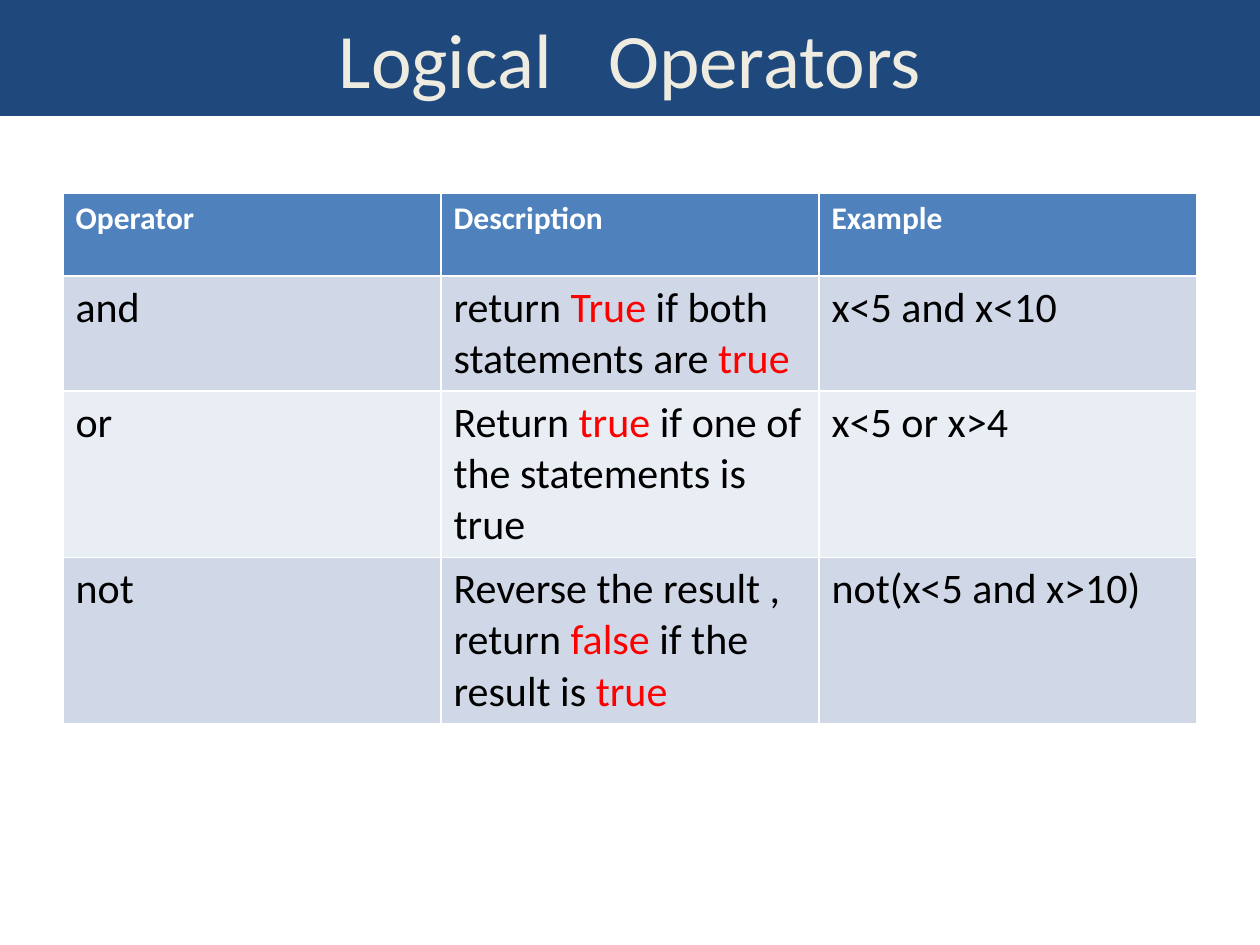
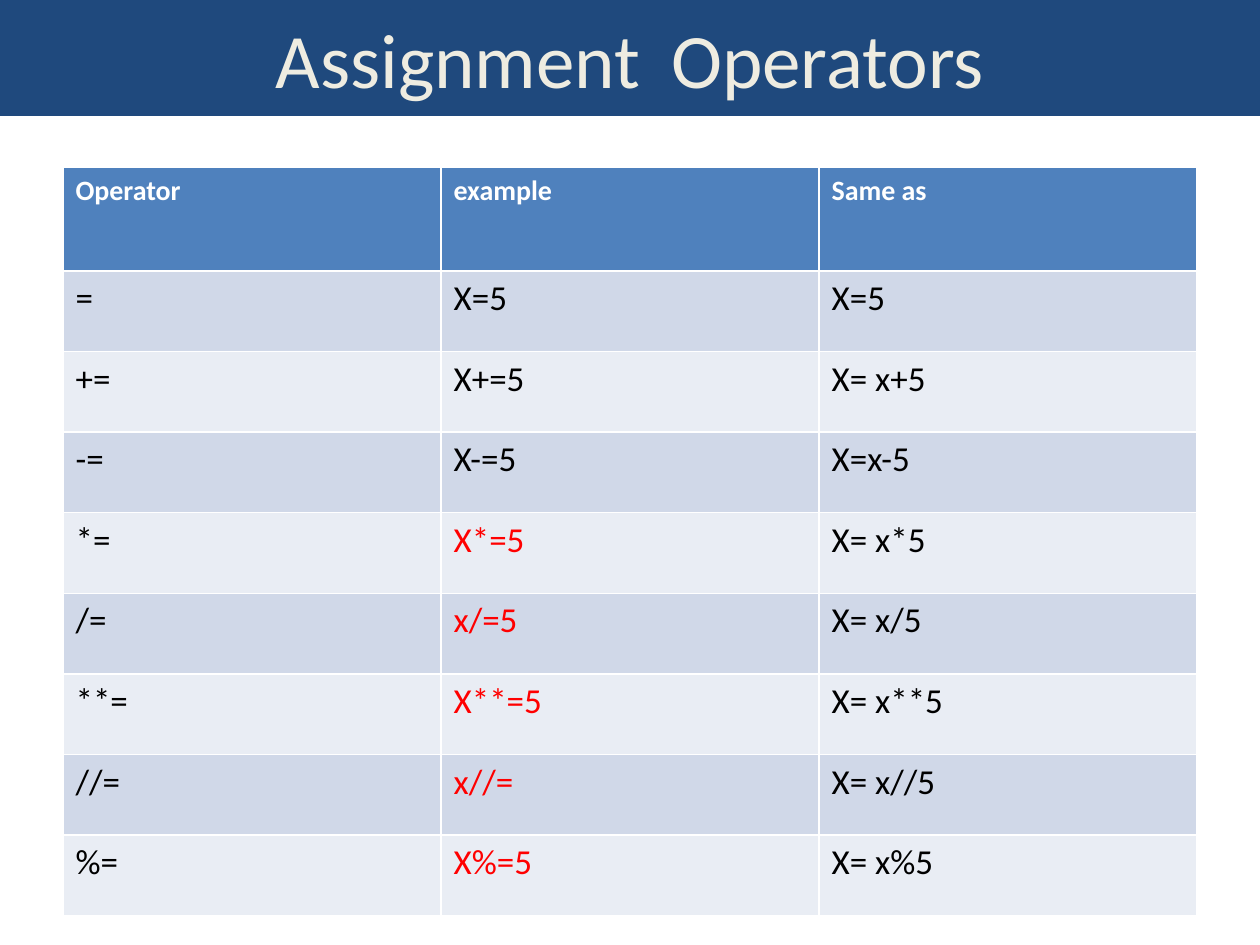
"""Build two slides that tabulate logical and assignment operators."""
from dataclasses import dataclass

from pptx import Presentation
from pptx.dml.color import RGBColor
from pptx.enum import shapes, text
from pptx.util import Inches, Pt


@dataclass(frozen=True)
class Theme:
    font: str = "Calibri"
    title_size: int = 44
    title_band: str = "1F497D"
    title_text: str = "EEECE1"
    header_fill: str = "4F81BD"
    header_text: str = "FFFFFF"
    row_fills: tuple = ("E9EDF4", "D0D8E8")
    body_text: str = "000000"
    accent_text: str = "FF0000"


@dataclass(frozen=True)
class OperatorTable:
    title: str
    top: float
    height: float
    header_height: float
    row_height: float
    header_size: int
    body_size: int
    rows: list


theme = Theme()

logical = OperatorTable(
    title="Logical\t Operators", top=1.53, height=4.16,
    header_height=0.66, row_height=0.66, header_size=18, body_size=24,
    rows=[
        ("Operator", "Description", "Example"),
        ("and", "return |True| if both statements are |true", "x<5 and x<10"),
        ("or", "Return |true| if one of the statements is true", "x<5 or x>4"),
        ("not", "Reverse the result , return |false| if the result is| true",
         "not(x<5 and x>10)"),
    ])

assignment = OperatorTable(
    title="Assignment\t Operators", top=1.33, height=5.92,
    header_height=0.82, row_height=0.64, header_size=16, body_size=20,
    rows=[
        ("Operator", "example", "Same as"),
        ("=", "X=5", "X=5"),
        ("+=", "X+=5", "X= x+5"),
        ("-=", "X-=5", "X=x-5"),
        ("*=", "|X*=5", "X= x*5"),
        ("/=", "|x/=5", "X= x/5"),
        ("**=", "|X**=5", "X= x**5"),
        ("//=", "|x//=", "X= x//5"),
        ("%=", "|X%=5", "X= x%5"),
    ])


def paint(shape, color):
    shape.fill.solid()
    shape.fill.fore_color.rgb = RGBColor.from_string(color)


def write(para, words, size, color, bold=False):
    """Write words into a paragraph, with every second piece between bars accented."""
    para.font.name = theme.font
    para.font.size = Pt(size)
    para.font.bold = bold
    for index, piece in enumerate(words.split("|")):
        if piece:
            span = para.add_run()
            span.text = piece
            span.font.color.rgb = RGBColor.from_string(
                theme.accent_text if index % 2 else color)


deck = Presentation()
deck.slide_width, deck.slide_height = Inches(10), Inches(7.5)

for content in (logical, assignment):
    page = deck.slides.add_slide(deck.slide_layouts[6])

    band = page.shapes.add_shape(
        shapes.MSO_SHAPE.RECTANGLE, 0, 0, deck.slide_width, Inches(0.92))
    band.shadow.inherit = False
    band.line.fill.background()
    paint(band, theme.title_band)
    band.text_frame.vertical_anchor = text.MSO_ANCHOR.MIDDLE
    heading = band.text_frame.paragraphs[0]
    heading.alignment = text.PP_ALIGN.CENTER
    write(heading, content.title, theme.title_size, theme.title_text)

    frame = page.shapes.add_table(
        len(content.rows), len(content.rows[0]),
        Inches(0.5), Inches(content.top), Inches(9), Inches(content.height))
    for number, row in enumerate(content.rows):
        is_header = number == 0
        frame.table.rows[number].height = Inches(
            content.header_height if is_header else content.row_height)
        for column, words in enumerate(row):
            cell = frame.table.cell(number, column)
            para = cell.text_frame.paragraphs[0]
            if is_header:
                paint(cell, theme.header_fill)
                write(para, words, content.header_size, theme.header_text, bold=True)
            else:
                paint(cell, theme.row_fills[number % 2])
                write(para, words, content.body_size, theme.body_text)
    frame.height = Inches(content.height)

deck.save("out.pptx")
